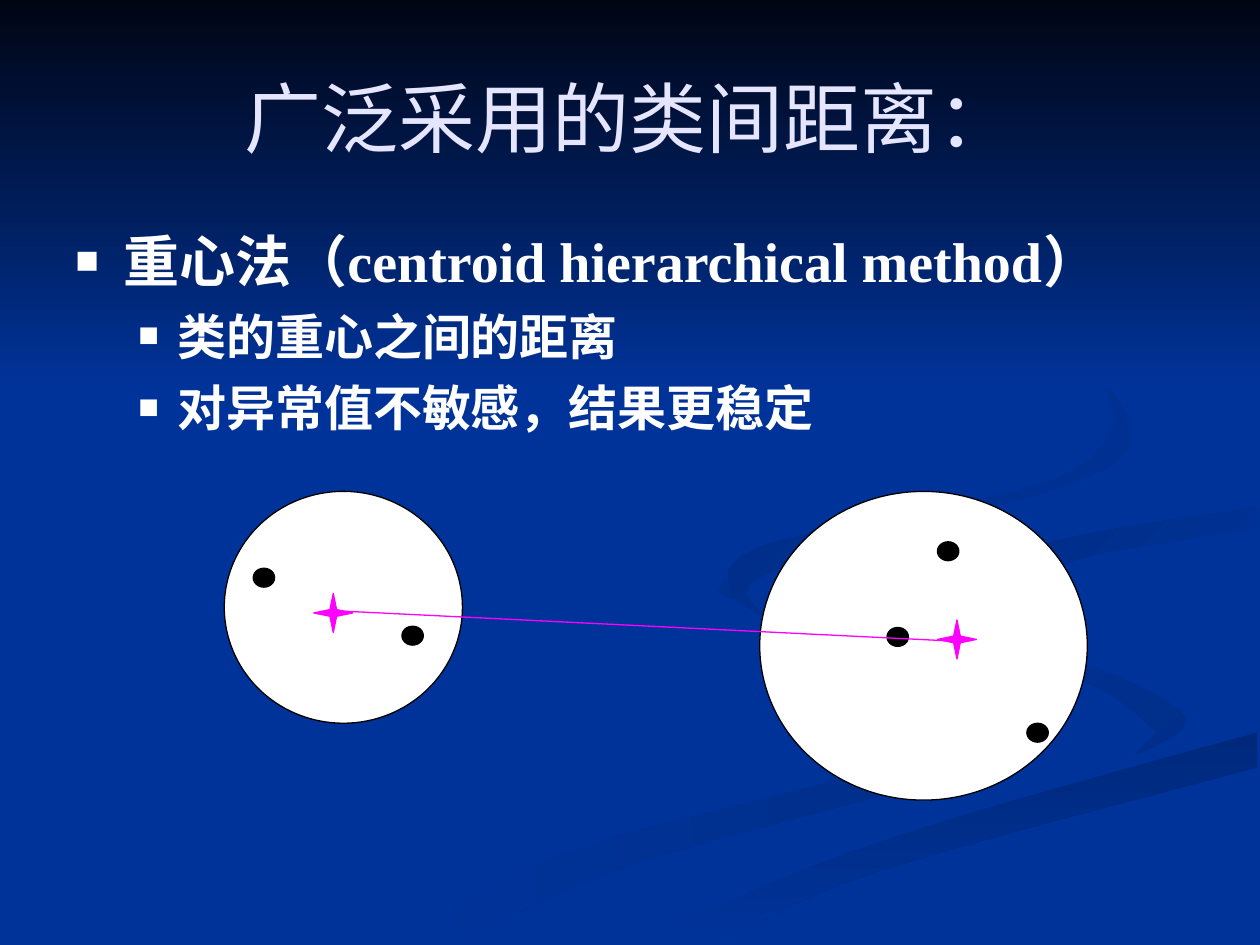
import pptx
import pptx.dml.color
import pptx.enum.shapes
import pptx.enum.text
import pptx.oxml
import pptx.oxml.ns
import pptx.util
from pptx.util import Inches

FONT = "Times New Roman"
COLORS = {
    "blue": "003399", "night": "000514", "title": "E5E5FF", "white": "FFFFFF",
    "black": "000000", "magenta": "FF00FF", "shade_left": "002E8A",
    "shade_tail": "00297C", "shade_right": "002C85", "shade_top": "002B81",
}
DOT_SIZE = (0.17, 0.15)
STAR_SIZE = 0.31
CURVE_STEPS = 5

TAIL_EDGE = [(9.98, 5.81), (7.64, 6.47), (6.3, 6.93), (5.03, 7.49)]
BRANCH_EDGE = [(9.98, 4.02), (8.35, 4.3), (7.81, 4.63), (8.26, 4.96)]
SWIRLS = [
    (("shade_left", "blue", 180), [
        [(5.75, 4.59), (6.26, 5.02), (7.31, 5.33), (7.97, 5.7), (7.4, 6.18), (4.99, 6.87),
         (3.61, 7.49)],
        [(3, 7.49), (4.58, 6.74), (6.84, 6.13), (7.85, 5.66), (6.79, 5.19), (5.7, 4.7)]]),
    (("shade_left", "blue", 225), [
        [(7.24, 4.64), (7.58, 4.98), (8.7, 5.3), (9.43, 5.72), (8.94, 6.05)],
        [(9.18, 5.81), (8.68, 5.44), (7.66, 5.12)]]),
    (("shade_tail", "blue", 90), [
        [(5.71, 7.49), (6.95, 6.92), (9.98, 6.09)], TAIL_EDGE]),
    (("blue", "blue", 90), [
        [(4.77, 7.49), (6.63, 6.68), (8.69, 6.11), (9.43, 5.7), (8.71, 5.3), (7.59, 4.98),
         (7.25, 4.64), (7.88, 4.22), (9.98, 3.87)],
        BRANCH_EDGE + [(9.98, 5.38)], TAIL_EDGE]),
    (("blue", "shade_right", 225), [
        BRANCH_EDGE, [(8.05, 4.72), (8.59, 4.43), (9.98, 4.2)]]),
    (("blue", "shade_top", 225), [
        [(7.62, 2.33), (8.73, 2.99), (8.83, 3.7), (6.83, 4.3), (5.94, 4.65), (6.22, 5)],
        [(5.8, 4.74), (6.05, 4.33), (8.42, 3.78), (8.76, 3.06), (7.62, 2.33)]]),
]


def rgb(name):
    """Return the named colour."""
    return pptx.dml.color.RGBColor.from_string(COLORS[name])


def smooth(points):
    """Return a Catmull-Rom curve through the points."""
    padded = [points[0], *points, points[-1]]
    curve = [points[0]]
    for corners in zip(padded, padded[1:], padded[2:], padded[3:]):
        for step in range(1, CURVE_STEPS + 1):
            t = step / CURVE_STEPS
            curve.append(tuple(
                b + t / 2 * (c - a + t * (2 * a - 5 * b + 4 * c - d
                                          + t * (3 * (b - c) + d - a)))
                for a, b, c, d in zip(*corners)))
    return curve


def shade(shape, start, end, angle):
    """Fill a borderless shape with a gradient at a clockwise angle."""
    shape.shadow.inherit = False
    shape.line.fill.background()
    if start == end:
        shape.fill.solid()
        shape.fill.fore_color.rgb = rgb(start)
        return
    shape.fill.gradient()
    shape.fill.gradient_angle = 360 - angle
    for stop, name in zip(shape.fill.gradient_stops, (start, end)):
        stop.color.rgb = rgb(name)


def add_backdrop(slide, left, top, width, band_height):
    """Draw the swirls and the dark band along the top."""
    slide.background.fill.solid()
    slide.background.fill.fore_color.rgb = rgb("blue")
    for gradient, edges in SWIRLS:
        outline = [(Inches(left + x), Inches(top + y))
                   for edge in edges for x, y in smooth(edge)]
        builder = slide.shapes.build_freeform(*outline[0])
        builder.add_line_segments(outline[1:], close=True)
        shade(builder.convert_to_shape(), *gradient)
    band = slide.shapes.add_shape(
        pptx.enum.shapes.MSO_SHAPE.RECTANGLE,
        Inches(left), Inches(top), Inches(width), Inches(band_height))
    shade(band, "night", "blue", 90)


def add_text_frame(slide, left, top, width, height):
    """Add a wrapping text box and return its frame."""
    box = slide.shapes.add_textbox(Inches(left), Inches(top), Inches(width), Inches(height))
    box.text_frame.word_wrap = True
    return box.text_frame


def write(paragraph, text, size, color="white", bold=False, align="LEFT",
          before=0, level=0, indent=None):
    """Write formatted text, with a square bullet when an indent is given."""
    paragraph.alignment = getattr(pptx.enum.text.PP_ALIGN, align)
    paragraph.level = level
    paragraph.space_before = pptx.util.Pt(before)
    if indent:
        properties = paragraph._p.get_or_add_pPr()
        properties.set("marL", str(Inches(indent[0])))
        properties.set("indent", str(Inches(indent[1])))
        namespace = pptx.oxml.ns.nsdecls("a")
        for element in (
                f'<a:buClr {namespace}><a:srgbClr val="{COLORS[color]}"/></a:buClr>',
                f'<a:buSzPct {namespace} val="70000"/>',
                f'<a:buFont {namespace} typeface="{FONT}"/>',
                f'<a:buChar {namespace} char="■"/>'):
            properties.append(pptx.oxml.parse_xml(element))
    run = paragraph.add_run()
    run.text = text
    run.font.name = FONT
    run.font.size = pptx.util.Pt(size)
    run.font.bold = bold
    run.font.color.rgb = rgb(color)


def add_title(slide, left, top, width, height):
    """Write the centred title."""
    frame = add_text_frame(slide, left, top, width, height)
    frame.vertical_anchor = pptx.enum.text.MSO_ANCHOR.MIDDLE
    write(frame.paragraphs[0], "广泛采用的类间距离：", size=44, color="title", align="CENTER")


def add_body(slide, left, top, width, height):
    """Write the method and its two properties."""
    frame = add_text_frame(slide, left, top, width, height)
    write(frame.paragraphs[0], "重心法（centroid hierarchical method）",
          size=32, bold=True, indent=(0.38, -0.38))
    for text in ("类的重心之间的距离", "对异常值不敏感，结果更稳定"):
        write(frame.add_paragraph(), text, size=28, bold=True, before=7,
              level=1, indent=(0.81, -0.31))


def add_figure(slide, kind, left, top, width, height, fill, line):
    """Add a filled and outlined preset shape."""
    shape = slide.shapes.add_shape(
        getattr(pptx.enum.shapes.MSO_SHAPE, kind),
        Inches(left), Inches(top), Inches(width), Inches(height))
    shape.shadow.inherit = False
    shape.fill.solid()
    shape.fill.fore_color.rgb = rgb(fill)
    shape.line.color.rgb = rgb(line)
    shape.line.width = pptx.util.Pt(0.75)
    return shape


def add_cluster(slide, left, top, width, height, dots, centroid):
    """Draw a cluster with its points and its centroid star."""
    add_figure(slide, "OVAL", left, top, width, height, "white", "black")
    for x, y in dots:
        add_figure(slide, "OVAL", left + x, top + y, *DOT_SIZE, "black", "black")
    star = add_figure(slide, "STAR_4_POINT", left + centroid[0], top + centroid[1],
                      STAR_SIZE, STAR_SIZE, "magenta", "magenta")
    star.adjustments[0] = 0.12


def add_diagram(slide, left, top):
    """Draw two clusters and the distance between their centroids."""
    add_cluster(slide, left, top, 1.89, 1.84, [(0.23, 0.61), (1.41, 1.07)], (0.71, 0.81))
    add_cluster(slide, left + 4.25, top, 2.6, 2.45,
                [(2.12, 1.84), (1.01, 1.08), (1.41, 0.4)], (1.41, 1.02))
    distance = slide.shapes.add_connector(
        pptx.enum.shapes.MSO_CONNECTOR.STRAIGHT,
        Inches(left + 0.94), Inches(top + 0.95), Inches(left + 5.82), Inches(top + 1.19))
    distance.line.color.rgb = rgb("magenta")
    distance.line.width = pptx.util.Pt(0.75)
    distance._element.spPr.append(
        pptx.oxml.parse_xml(f'<a:effectLst {pptx.oxml.ns.nsdecls("a")}/>'))


def main():
    """Build and save the slide."""
    presentation = pptx.Presentation()
    presentation.slide_width, presentation.slide_height = Inches(10), Inches(7.5)
    slide = presentation.slides.add_slide(presentation.slide_layouts[6])
    add_backdrop(slide, 0, 0, 10, 3.08)
    add_title(slide, 0.5, 0.3, 9, 1.25)
    add_body(slide, 0.5, 1.75, 9, 4.95)
    add_diagram(slide, 1.78, 3.9)
    presentation.save("out.pptx")


if __name__ == "__main__":
    main()
